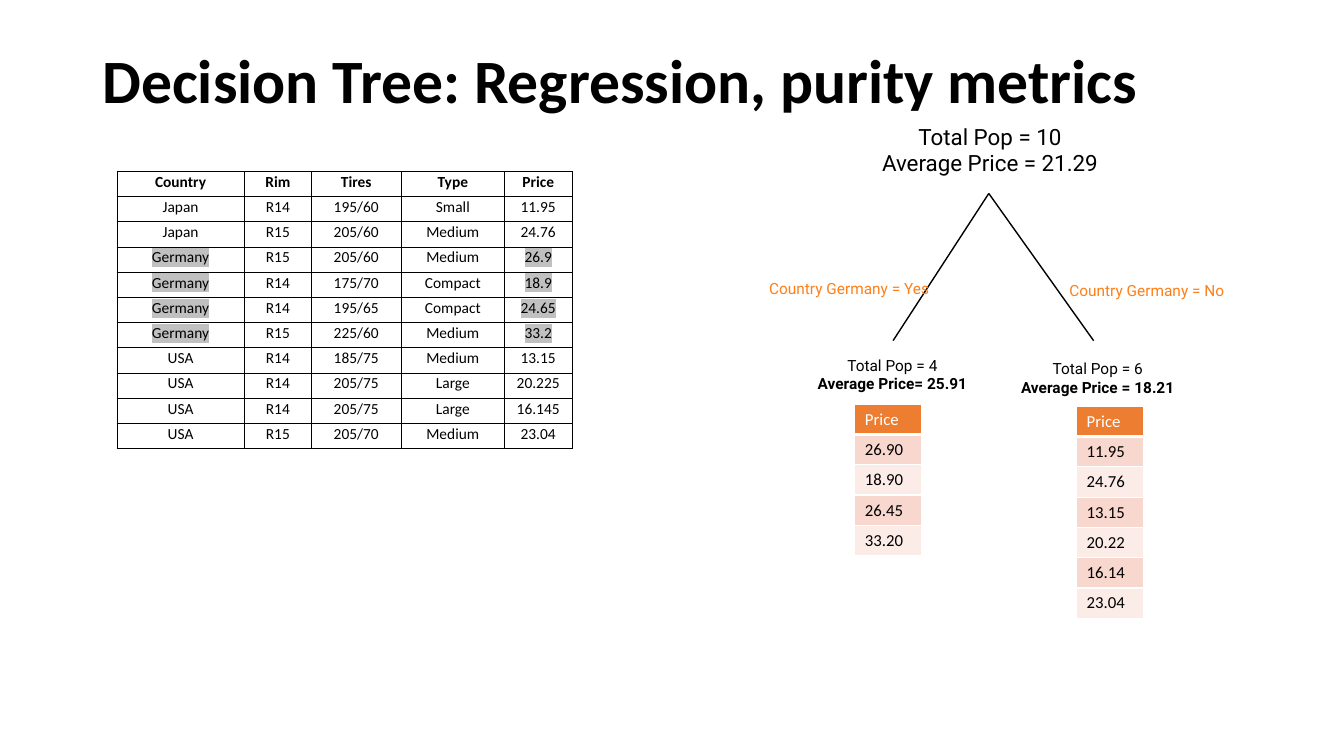
from dataclasses import dataclass
from lxml.etree import SubElement
from pptx import Presentation
from pptx.dml.color import RGBColor
from pptx.enum.shapes import MSO_CONNECTOR, MSO_SHAPE
from pptx.enum.text import MSO_ANCHOR, MSO_AUTO_SIZE, PP_ALIGN
from pptx.oxml import parse_xml
from pptx.oxml.ns import nsdecls, qn
from pptx.util import Pt


@dataclass(frozen=True)
class Theme:
    black: str = "000000"
    white: str = "FFFFFF"
    branch: str = "FE7F18"
    header: str = "ED7D31"
    bands: tuple = ("F8D7CE", "FCECE8")
    mark: str = "C0C0C0"
    body: str = "Calibri"
    tree: str = "Roboto"
    title_size: int = 44
    root_size: int = 16
    price_size: int = 12
    small_size: int = 11


T = Theme()

CARS = [
    ("Country", "Rim", "Tires", "Type", "Price"),
    ("Japan", "R14", "195/60", "Small", "11.95"),
    ("Japan", "R15", "205/60", "Medium", "24.76"),
    ("Germany", "R15", "205/60", "Medium", "26.9"),
    ("Germany", "R14", "175/70", "Compact", "18.9"),
    ("Germany", "R14", "195/65", "Compact", "24.65"),
    ("Germany", "R15", "225/60", "Medium", "33.2"),
    ("USA", "R14", "185/75", "Medium", "13.15"),
    ("USA", "R14", "205/75", "Large", "20.225"),
    ("USA", "R14", "205/75", "Large", "16.145"),
    ("USA", "R15", "205/70", "Medium", "23.04"),
]
YES_PRICES = ["26.90", "18.90", "26.45", "33.20"]
NO_PRICES = ["11.95", "24.76", "13.15", "20.22", "16.14", "23.04"]


def write(p, text, size, font=T.body, color=T.black, bold=False, align=None, mark=None):
    p.alignment = align
    r = p.add_run()
    r.text = text
    r.font.size = Pt(size)
    r.font.bold = bold
    r.font.color.rgb = RGBColor.from_string(color)
    r.font.name = font
    if mark:
        fill = r.font.fill._xPr.find(qn("a:solidFill"))
        fill.addnext(parse_xml(
            f'<a:highlight {nsdecls("a")}><a:srgbClr val="{mark}"/></a:highlight>'))


def set_borders(cell, color, width, bottom=None):
    tc_pr = cell._tc.get_or_add_tcPr()
    for side in "LRTB":
        w = bottom if bottom and side == "B" else width
        ln = SubElement(tc_pr, qn(f"a:ln{side}"), w=str(Pt(w)))
        SubElement(SubElement(ln, qn("a:solidFill")), qn("a:srgbClr"), val=color)


def add_grid(s, x, y, widths, row_height, rows):
    frame = s.shapes.add_table(rows, len(widths), Pt(x), Pt(y),
                               Pt(sum(widths)), Pt(row_height * rows))
    table = frame.table
    table.first_row = table.horz_banding = False
    for column, width in zip(table.columns, widths):
        column.width = Pt(width)
    for row in table.rows:
        row.height = Pt(row_height)
    return table


def add_car_table(s, x, y):
    table = add_grid(s, x, y, (91, 48, 64, 74, 48), 18, len(CARS))
    for i, values in enumerate(CARS):
        for j, value in enumerate(values):
            cell = table.cell(i, j)
            cell.margin_left = cell.margin_right = cell.margin_top = Pt(0.7)
            cell.margin_bottom = Pt(3.6)
            cell.vertical_anchor = MSO_ANCHOR.BOTTOM
            set_borders(cell, T.black, 0.5)
            cell.fill.background()
            marked = values[0] == "Germany" and j in (0, 4)
            write(cell.text_frame.paragraphs[0], value, T.small_size, bold=i == 0,
                  align=PP_ALIGN.CENTER, mark=T.mark if marked else None)


def add_price_table(s, x, y, prices):
    table = add_grid(s, x, y, (48,), 21.6, len(prices) + 1)
    for i, value in enumerate(["Price"] + prices):
        cell = table.cell(i, 0)
        head = i == 0
        set_borders(cell, T.white, 1, bottom=3 if head else None)
        cell.fill.solid()
        cell.fill.fore_color.rgb = RGBColor.from_string(
            T.header if head else T.bands[(i - 1) % 2])
        write(cell.text_frame.paragraphs[0], value, T.price_size,
              color=T.white if head else T.black)


def add_node(s, x, y, w, h, lines, size, bold_last=True, bottom=3.6):
    sp = s.shapes.add_shape(MSO_SHAPE.RECTANGLE, Pt(x), Pt(y), Pt(w), Pt(h))
    sp.shadow.inherit = False
    sp.fill.solid()
    sp.fill.fore_color.rgb = RGBColor.from_string(T.white)
    sp.line.fill.background()
    tf = sp.text_frame
    tf.word_wrap = True
    tf.vertical_anchor = MSO_ANCHOR.MIDDLE
    tf.margin_bottom = Pt(bottom)
    for i, line in enumerate(lines):
        p = tf.add_paragraph() if i else tf.paragraphs[0]
        write(p, line, size, T.tree, bold=bold_last and i > 0, align=PP_ALIGN.CENTER)


def add_branch(s, start, end):
    line = s.shapes.add_connector(MSO_CONNECTOR.STRAIGHT, *map(Pt, start + end))
    line.line.color.rgb = RGBColor.from_string(T.black)
    line.line.width = Pt(1)
    SubElement(line._element.spPr, qn("a:effectLst"))


def add_branch_label(s, x, y, text):
    tf = s.shapes.add_textbox(Pt(x), Pt(y), Pt(130.3), Pt(20.6)).text_frame
    tf.word_wrap = True
    tf.auto_size = MSO_AUTO_SIZE.SHAPE_TO_FIT_TEXT
    write(tf.paragraphs[0], text, T.small_size, T.tree, T.branch)


def add_title(s, text):
    sp = s.shapes.title
    sp.left, sp.top, sp.width, sp.height = Pt(66), Pt(28.8), Pt(828), Pt(61.2)
    tf = sp.text_frame
    tf.vertical_anchor = MSO_ANCHOR.MIDDLE
    p = tf.paragraphs[0]
    p.line_spacing = 0.9
    write(p, text, T.title_size, bold=True, align=PP_ALIGN.LEFT)


def main():
    prs = Presentation()
    prs.slide_width, prs.slide_height = Pt(960), Pt(540)
    s = prs.slides.add_slide(prs.slide_layouts[5])
    add_title(s, "Decision Tree: Regression, purity metrics")
    add_car_table(s, 83.5, 122.4)
    root = (706.3, 138.2)
    for end in ((637.9, 243.4), (781.2, 243.4)):
        add_branch(s, root, end)
    add_branch_label(s, 542.2, 195.8, "Country Germany = Yes")
    add_node(s, 569.5, 243.4, 136, 61.2,
             ("Total Pop = 4", "Average Price= 25.91"), T.small_size, bottom=16.5)
    add_node(s, 717.1, 247.7, 134, 44.6,
             ("Total Pop = 6", "Average Price = 18.21"), T.small_size)
    add_node(s, 599.8, 79.2, 214.6, 55.4,
             ("Total Pop = 10", "Average Price = 21.29"), T.root_size, bold_last=False)
    add_branch_label(s, 756.7, 197.3, "Country Germany = No")
    add_price_table(s, 610.6, 288.7, YES_PRICES)
    add_price_table(s, 769, 290.2, NO_PRICES)
    prs.save("out.pptx")


main()
